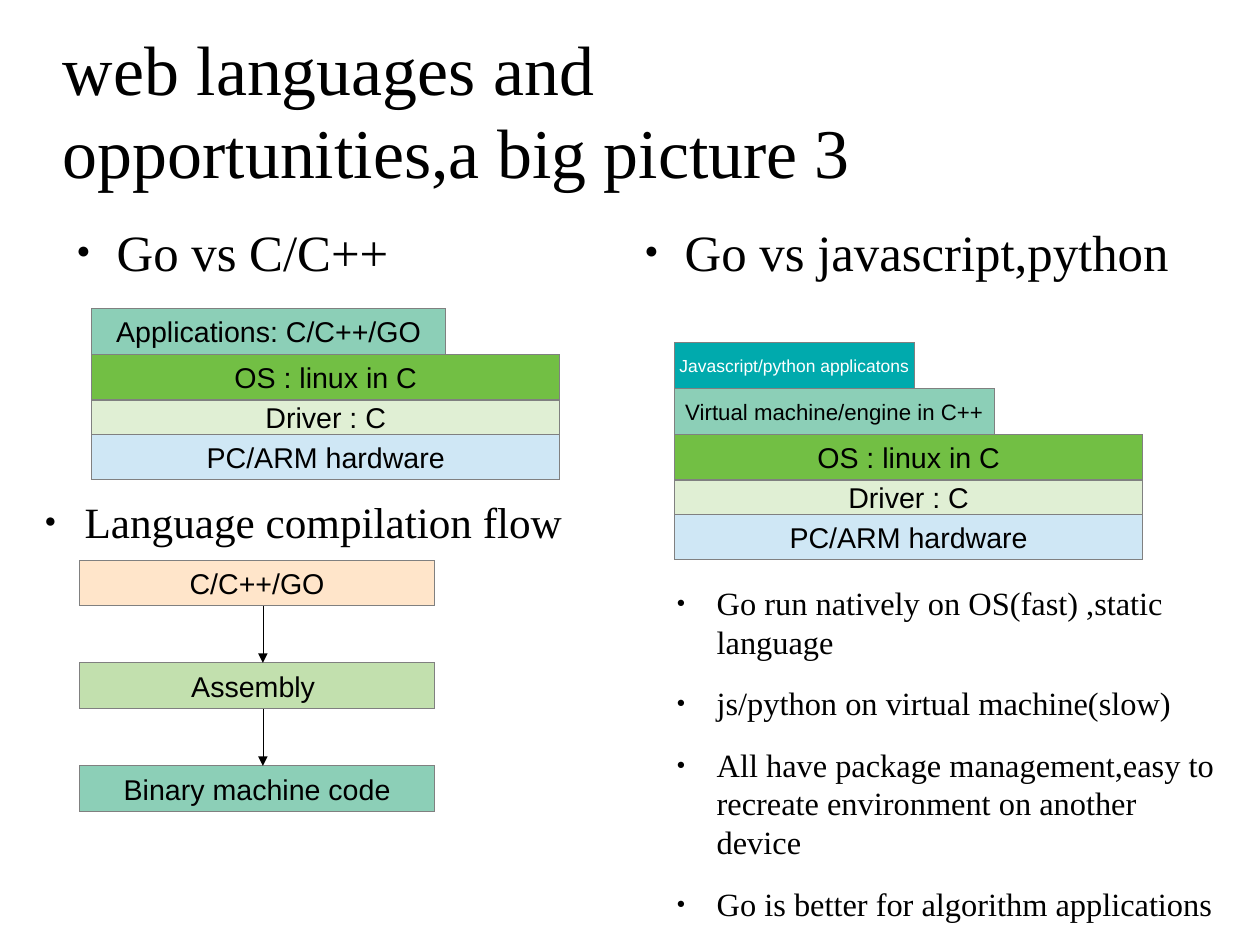
from lxml import etree
from pptx import Presentation, util as u
from pptx.dml.color import RGBColor
from pptx.enum import shapes, text
from pptx.oxml.ns import qn

COLORS = {"ink": "000000", "white": "FFFFFF", "border": "808080",
          "hardware": "CFE7F5", "driver": "E0EFD4", "os": "72BF44",
          "mint": "8CCFB7", "teal": "00AAAD", "peach": "FFE5CA",
          "leaf": "C2E0AE"}

TITLE = "web languages and opportunities,a big picture 3"
TITLE_BOX = (0.55, 0.28, 8.43, 1.35)

LISTS = [
    ((0.55, 1.93, 4.73, 0.57), 32, ["Go vs C/C++"]),
    ((5.52, 1.93, 4.73, 4.79), 32, ["Go vs javascript,python"]),
    ((0.27, 4.33, 4.73, 0.57), 27.2, ["Language compilation flow"]),
    ((5.8, 5.1, 4.92, 2.9), 20.4, [
        "Go run natively on OS(fast) ,static language",
        "js/python on virtual machine(slow)",
        "All have package management,easy to recreate environment on another device",
        "Go is better for algorithm applications"]),
]

PLATFORM = [("PC/ARM hardware", "hardware", 4.1, 0.4, 18, "ink"),
            ("Driver : C", "driver", 4.1, 0.3, 18, "ink"),
            ("OS : linux in C", "os", 4.1, 0.4, 18, "ink")]
STACKS = [
    (0.8, 4.2, PLATFORM + [
        ("Applications: C/C++/GO", "mint", 3.1, 0.4, 18, "ink")]),
    (5.9, 4.9, PLATFORM + [
        ("Virtual machine/engine in C++", "mint", 2.8, 0.4, 14, "ink"),
        ("Javascript/python applicatons", "teal", 2.1, 0.4, 11, "white")]),
]

FLOW = [("C/C++/GO", "peach"), ("Assembly ", "leaf"),
        ("Binary machine code", "mint")]
FLOW_LEFT, FLOW_TOP, FLOW_W, FLOW_H, FLOW_STEP = 0.7, 4.9, 3.1, 0.4, 0.9
ARROW_X = 2.3


def rgb(name):
    return RGBColor.from_string(COLORS[name])


def place(sp, box):
    sp.left, sp.top, sp.width, sp.height = map(u.Inches, box)


def hairline(sp, color):
    sp.line.color.rgb = rgb(color)
    ln = sp._element.spPr.find(qn("a:ln"))
    ln.set("w", "0")
    return ln


def add_bullet(p):
    pPr = p._p.get_or_add_pPr()
    pPr.set("marL", str(u.Inches(0.47)))
    pPr.set("indent", str(u.Inches(-0.35)))
    color = etree.SubElement(pPr, qn("a:buClr"))
    etree.SubElement(color, qn("a:srgbClr"), val=COLORS["ink"])
    etree.SubElement(pPr, qn("a:buSzPct"), val="45000")
    etree.SubElement(pPr, qn("a:buChar"), char="●")


def write(sp, lines, size, font="Times New Roman", color="ink", align="LEFT",
          anchor="TOP", inset=(0, 0), wrap=True, bullet=False, after=0):
    tf = sp.text_frame
    tf.auto_size = text.MSO_AUTO_SIZE.NONE
    tf.word_wrap = wrap
    tf.vertical_anchor = text.MSO_ANCHOR[anchor]
    tf.margin_left = tf.margin_right = u.Inches(inset[0])
    tf.margin_top = tf.margin_bottom = u.Inches(inset[1])
    for i, line in enumerate(lines):
        p = tf.add_paragraph() if i else tf.paragraphs[0]
        if bullet:
            add_bullet(p)
        p.alignment = text.PP_ALIGN[align]
        p.space_before, p.space_after = u.Pt(0), u.Pt(after)
        r = p.add_run()
        r.text = line
        r.font.name, r.font.size, r.font.bold = font, u.Pt(size), False
        r.font.color.rgb = rgb(color)


def add_block(s, label, fill, box, size=18, color="ink"):
    sp = s.shapes.add_shape(shapes.MSO_SHAPE.RECTANGLE, *map(u.Inches, box))
    sp.shadow.inherit = False
    sp.fill.solid()
    sp.fill.fore_color.rgb = rgb(fill)
    hairline(sp, "border")
    write(sp, [label], size, font="Arial", color=color, align="CENTER",
          anchor="MIDDLE", inset=(0.1, 0.05), wrap=False)


def add_arrow(s, x, top, bottom):
    cn = s.shapes.add_connector(shapes.MSO_CONNECTOR.STRAIGHT, u.Inches(x),
                                u.Inches(top), u.Inches(x), u.Inches(bottom))
    ln = hairline(cn, "ink")
    etree.SubElement(ln, qn("a:tailEnd"), type="triangle")
    etree.SubElement(cn._element.spPr, qn("a:effectLst"))


def main():
    prs = Presentation()
    prs.slide_width, prs.slide_height = u.Cm(28), u.Cm(21)
    prs.element.find(qn("p:sldSz")).attrib.pop("type", None)
    s = prs.slides.add_slide(prs.slide_layouts.get_by_name("Comparison"))

    title, *bodies = s.placeholders
    place(title, TITLE_BOX)
    write(title, [TITLE], 44, anchor="MIDDLE")
    for sp, (box, size, lines) in zip(bodies, LISTS):
        place(sp, box)
        write(sp, lines, size, bullet=True, after=14.2)

    for left, bottom, layers in STACKS:
        y = bottom
        for label, fill, width, height, size, color in layers:
            y -= height
            add_block(s, label, fill, (left, y, width, height), size, color)

    for i, (label, fill) in enumerate(FLOW):
        y = FLOW_TOP + i * FLOW_STEP
        add_block(s, label, fill, (FLOW_LEFT, y, FLOW_W, FLOW_H))
        if i:
            add_arrow(s, ARROW_X, y - FLOW_STEP + FLOW_H, y)

    prs.save("out.pptx")


if __name__ == "__main__":
    main()
